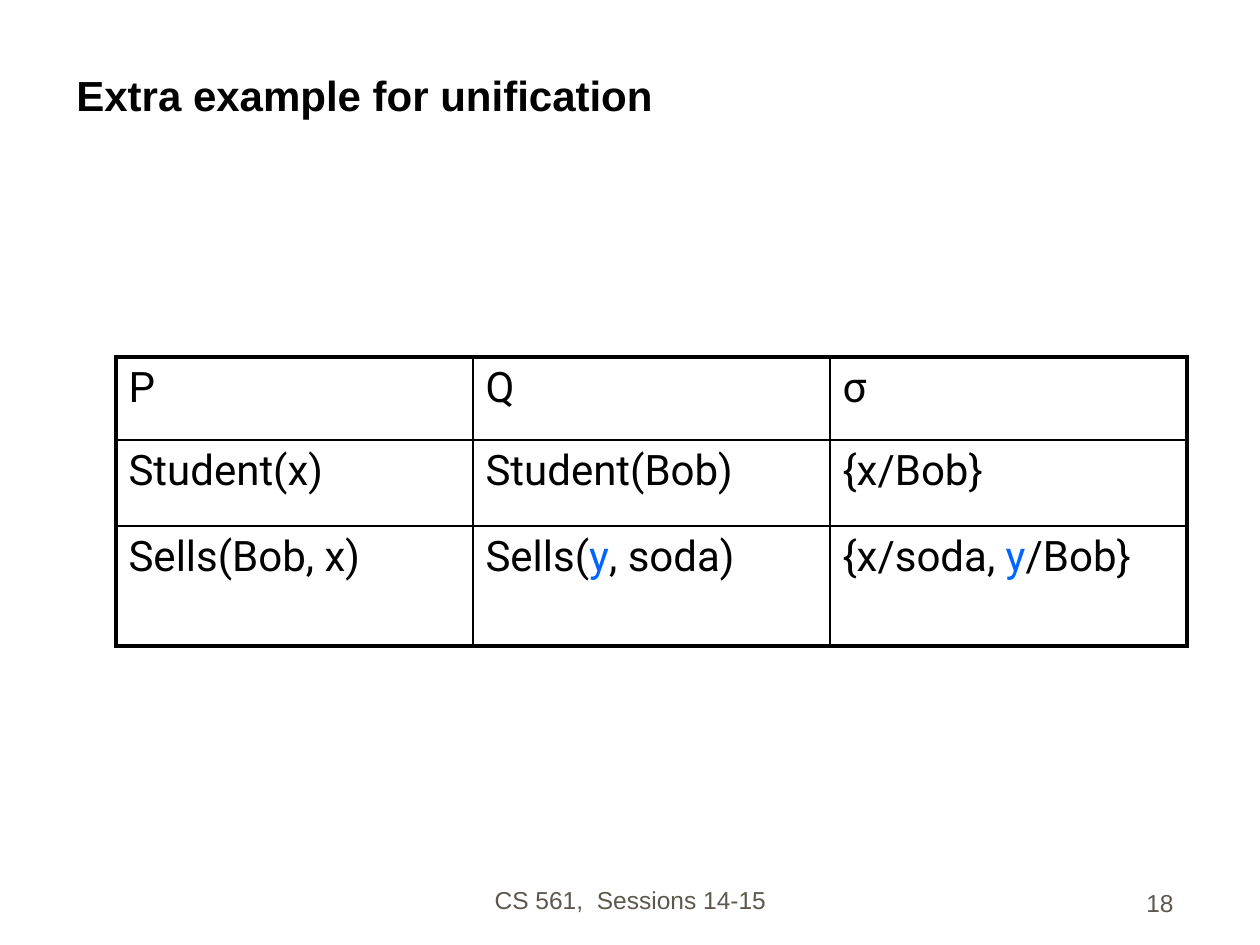
from lxml import etree
from pptx import Presentation
from pptx import util as u
from pptx.dml.color import RGBColor
from pptx.enum import text
from pptx.oxml.ns import qn

BLACK = RGBColor(0x00, 0x00, 0x00)
BLUE = RGBColor(0x00, 0x66, 0xFF)
GREY = RGBColor(0x5E, 0x57, 0x4E)

LEFT, CENTER, RIGHT = text.PP_ALIGN.LEFT, text.PP_ALIGN.CENTER, text.PP_ALIGN.RIGHT
LABELS = [
    ("CS 561,  Sessions 14-15", (431, 858, 399, 63), 14, GREY, False, CENTER),
    ("18", (924, 861, 262, 63), 14, GREY, False, RIGHT),
    ("Extra example for unification", (64, 32, 1124, 94), 24, BLACK, True, LEFT),
]

VARIABLE = ("y", BLUE)
UNIFICATIONS = [
    [["P"], ["Q"], ["σ"]],
    [["Student(x)"], ["Student(Bob)"], ["{x/Bob}"]],
    [["Sells(Bob, x)"], ["Sells(", VARIABLE, ", soda)"], ["{x/soda, ", VARIABLE, "/Bob}"]],
]
TABLE_LEFT, TABLE_TOP = 116, 357
COLUMN_WIDTH = 357
ROW_HEIGHTS = [83, 86, 120]
OUTER, INNER = 2.25, 1


def px(length):
    return u.Emu(round(length * 914400 / 126))


def add_run(paragraph, words, font, size, color, bold=False):
    run = paragraph.add_run()
    run.text = words
    run.font.name = font
    run.font.size = u.Pt(size)
    run.font.bold = bold
    run.font.color.rgb = color


def add_label(slide, words, place, size, color, bold, align):
    frame = slide.shapes.add_textbox(*map(px, place)).text_frame
    frame.word_wrap = True
    frame.vertical_anchor = text.MSO_ANCHOR.BOTTOM
    paragraph = frame.paragraphs[0]
    paragraph.alignment = align
    add_run(paragraph, words, "Arial", size, color, bold)


def add_border(cell, side, points):
    properties = cell._tc.get_or_add_tcPr()
    line = etree.SubElement(properties, qn(f"a:ln{side}"), w=str(int(u.Pt(points))))
    fill = etree.SubElement(line, qn("a:solidFill"))
    etree.SubElement(fill, qn("a:srgbClr"), val=str(BLACK))


def add_unifications(slide):
    rows, columns = len(UNIFICATIONS), len(UNIFICATIONS[0])
    place = (TABLE_LEFT, TABLE_TOP, COLUMN_WIDTH * columns, sum(ROW_HEIGHTS))
    table = slide.shapes.add_table(rows, columns, *map(px, place)).table
    table.first_row = table.horz_banding = False
    for column in table.columns:
        column.width = px(COLUMN_WIDTH)
    for r, (terms, height) in enumerate(zip(UNIFICATIONS, ROW_HEIGHTS)):
        table.rows[r].height = px(height)
        for c, parts in enumerate(terms):
            cell = table.cell(r, c)
            edges = {"L": c == 0, "R": c == columns - 1, "T": r == 0, "B": r == rows - 1}
            for side, is_outer in edges.items():
                add_border(cell, side, OUTER if is_outer else INNER)
            cell.fill.background()
            for part in parts:
                words, color = part if isinstance(part, tuple) else (part, BLACK)
                add_run(cell.text_frame.paragraphs[0], words, "Roboto", 24, color)


def main():
    deck = Presentation()
    deck.slide_width, deck.slide_height = px(1260), px(945)
    slide = deck.slides.add_slide(deck.slide_layouts[6])
    for label in LABELS:
        add_label(slide, *label)
    add_unifications(slide)
    deck.save("out.pptx")


if __name__ == "__main__":
    main()
